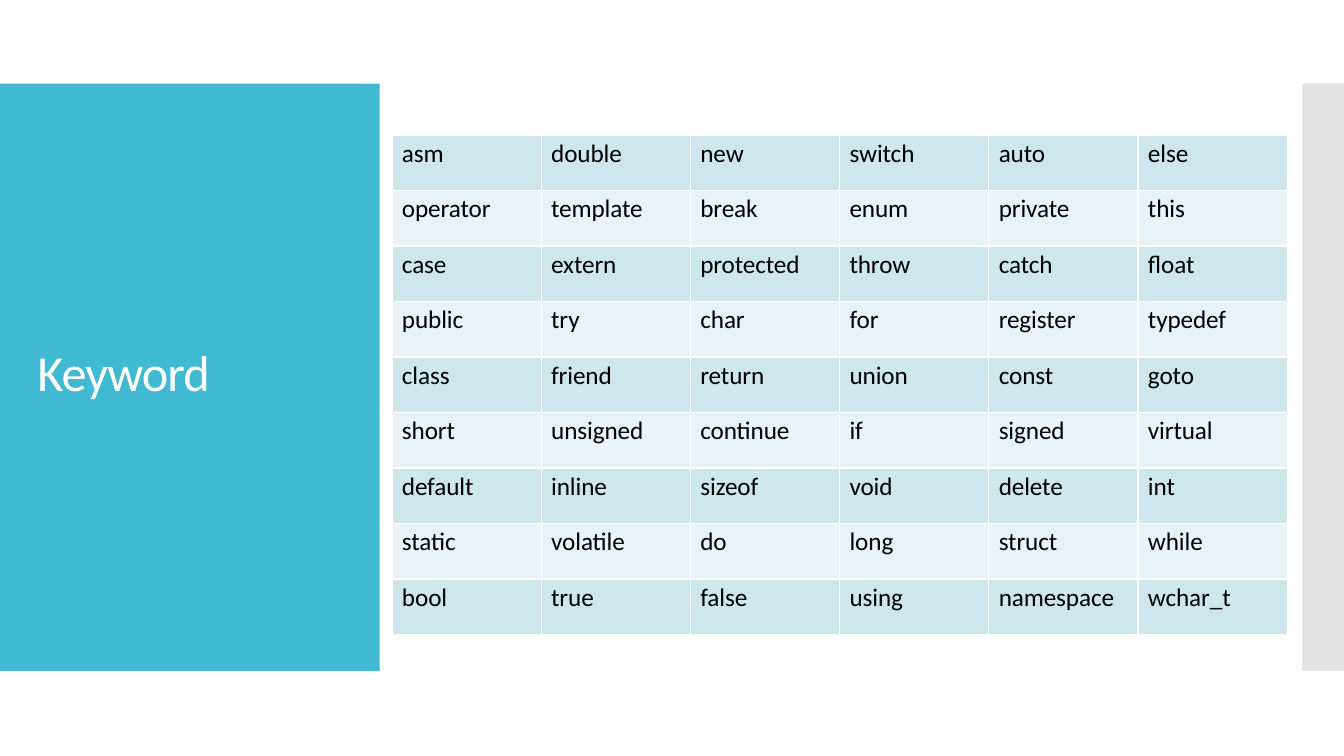
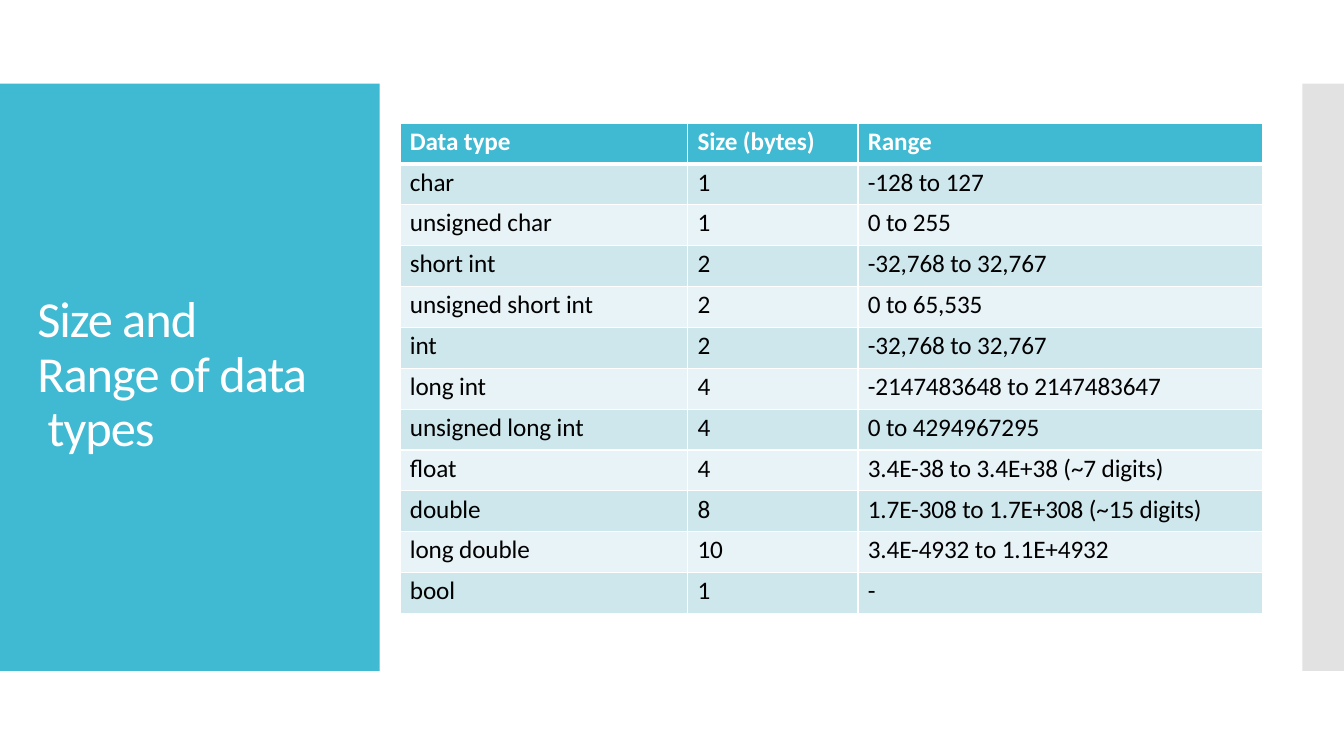
"""Build two slides that list C++ keywords and the size and range of data types."""
import dataclasses

import lxml.etree
import pptx
import pptx.dml.color
import pptx.enum.shapes
import pptx.enum.text
import pptx.oxml.ns
import pptx.util

Cm = pptx.util.Cm
Pt = pptx.util.Pt


@dataclasses.dataclass(frozen=True)
class Theme:
    font: str = "Calibri"
    accent: str = "40B9D2"
    edge: str = "C7C7C7"
    stripes: tuple = ("CEE7ED", "E8F3F7")
    light: str = "FFFFFF"
    dark: str = "000000"
    title_size: float = 36
    cell_size: float = 18
    title_tracking: int = -70
    cell_tracking: int = -8
    thin: float = 1
    thick: float = 3


class Deck:
    def __init__(self, theme):
        self.theme = theme
        self.presentation = pptx.Presentation()
        self.presentation.slide_width = Cm(33.87)
        self.presentation.slide_height = Cm(19.05)
        self.slide = None

    def new_slide(self):
        blank = self.presentation.slide_layouts[6]
        self.slide = self.presentation.slides.add_slide(blank)
        self.band(0, 9.57, self.theme.accent)
        self.band(32.82, 1.05, self.theme.edge, opacity=50)

    def paint(self, fill, color):
        fill.solid()
        fill.fore_color.rgb = pptx.dml.color.RGBColor.from_string(color)

    def band(self, left, width, color, opacity=100):
        panel = self.slide.shapes.add_shape(
            pptx.enum.shapes.MSO_SHAPE.RECTANGLE,
            Cm(left), Cm(2.11), Cm(width), Cm(14.8))
        panel.shadow.inherit = False
        panel.line.fill.background()
        self.paint(panel.fill, color)
        if opacity < 100:
            tint = panel.element.spPr.find(".//" + pptx.oxml.ns.qn("a:srgbClr"))
            alpha = lxml.etree.SubElement(tint, pptx.oxml.ns.qn("a:alpha"))
            alpha.set("val", str(opacity * 1000))

    def add_text(self, paragraph, text, size, color, tracking, bold=False):
        run = paragraph.add_run()
        run.text = text
        run.font.name = self.theme.font
        run.font.size = Pt(size)
        run.font.bold = bold
        run.font.color.rgb = pptx.dml.color.RGBColor.from_string(color)
        run._r.get_or_add_rPr().set("spc", str(tracking))

    def title(self, text, top, height, inset, before, leading=None):
        heading = self.slide.shapes.add_textbox(
            Cm(0.94), Cm(top), Cm(6.9), Cm(height))
        frame = heading.text_frame
        frame.word_wrap = True
        frame.vertical_anchor = pptx.enum.text.MSO_ANCHOR.TOP
        frame.margin_left = frame.margin_right = frame.margin_bottom = 0
        frame.margin_top = Cm(inset)
        paragraph = frame.paragraphs[0]
        paragraph.space_before = Pt(before)
        if leading:
            paragraph.line_spacing = Pt(leading)
        self.add_text(paragraph, text, self.theme.title_size, self.theme.light,
                      self.theme.title_tracking)

    def border(self, cell, side, width):
        line = lxml.etree.SubElement(
            cell._tc.get_or_add_tcPr(), pptx.oxml.ns.qn("a:ln" + side))
        line.set("w", str(Pt(width)))
        solid = lxml.etree.SubElement(line, pptx.oxml.ns.qn("a:solidFill"))
        color = lxml.etree.SubElement(solid, pptx.oxml.ns.qn("a:srgbClr"))
        color.set("val", self.theme.light)

    def cell(self, cell, text, fill, heading, top_line, bottom_line):
        theme = self.theme
        for side, width in (("L", theme.thin), ("R", theme.thin),
                            ("T", top_line), ("B", bottom_line)):
            self.border(cell, side, width)
        self.paint(cell.fill, fill)
        cell.margin_left = Cm(0.25)
        cell.margin_top = Cm(0.08)
        cell.margin_right = cell.margin_bottom = 0
        paragraph = cell.text_frame.paragraphs[0]
        paragraph.space_before = Pt(2.5)
        self.add_text(paragraph, text, theme.cell_size,
                      theme.light if heading else theme.dark,
                      theme.cell_tracking, bold=heading)

    def table(self, rows, left, top, widths, row_height, header=False):
        theme = self.theme
        grid = self.slide.shapes.add_table(
            len(rows), len(widths), Cm(left), Cm(top),
            Cm(sum(widths)), Cm(row_height * len(rows))).table
        grid.first_row = header
        grid.horz_banding = False
        for column, width in zip(grid.columns, widths):
            column.width = Cm(width)
        for index, row in enumerate(rows):
            grid.rows[index].height = Cm(row_height)
            heading = header and index == 0
            fill = theme.accent if heading else theme.stripes[(index - header) % 2]
            top_line = theme.thick if header and index == 1 else theme.thin
            bottom_line = theme.thick if heading else theme.thin
            for position, text in enumerate(row):
                self.cell(grid.cell(index, position), text, fill, heading,
                          top_line, bottom_line)


KEYWORDS = [line.split() for line in (
    "asm double new switch auto else",
    "operator template break enum private this",
    "case extern protected throw catch float",
    "public try char for register typedef",
    "class friend return union const goto",
    "short unsigned continue if signed virtual",
    "default inline sizeof void delete int",
    "static volatile do long struct while",
    "bool true false using namespace wchar_t",
)]

DATA_TYPES = [
    ("Data type", "Size (bytes)", "Range"),
    ("char", "1", "-128 to 127"),
    ("unsigned char", "1", "0 to 255"),
    ("short int", "2", "-32,768 to 32,767"),
    ("unsigned short int", "2", "0 to 65,535"),
    ("int", "2", "-32,768 to 32,767"),
    ("long int", "4", "-2147483648 to 2147483647"),
    ("unsigned long int", "4", "0 to 4294967295"),
    ("float", "4", "3.4E-38 to 3.4E+38 (~7 digits)"),
    ("double", "8", "1.7E-308 to 1.7E+308 (~15 digits)"),
    ("long double", "10", "3.4E-4932 to 1.1E+4932"),
    ("bool", "1", "-"),
]

deck = Deck(Theme())

deck.new_slide()
deck.title("Keyword", top=8.56, height=1.6, inset=0.03, before=1)
deck.table(KEYWORDS, left=9.88, top=3.4, widths=[3.76] * 6, row_height=1.4)

deck.new_slide()
deck.title("Size and Range of data  types", top=7.19, height=4.34, inset=0.2,
           before=5.8, leading=38.9)
deck.table(DATA_TYPES, left=10.08, top=3.1, widths=[7.25, 4.29, 10.2],
           row_height=1.03, header=True)

deck.presentation.save("out.pptx")
